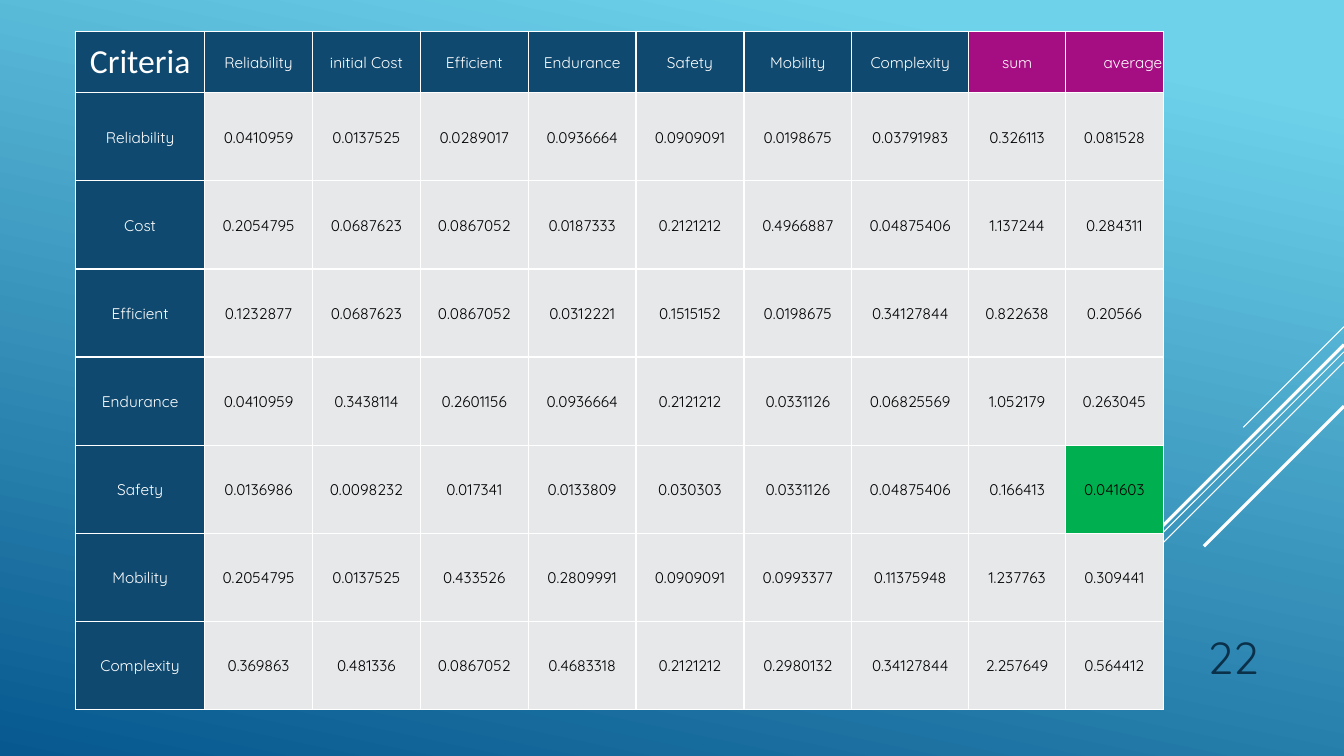
from lxml import etree
from pptx import Presentation
from pptx.dml.color import RGBColor
from pptx.enum.shapes import MSO_CONNECTOR
from pptx.enum.text import MSO_ANCHOR, PP_ALIGN
from pptx.oxml import parse_xml
from pptx.oxml.ns import nsdecls, qn
from pptx.util import Inches, Pt

STRAIGHT = MSO_CONNECTOR.STRAIGHT
MIDDLE, BOTTOM = MSO_ANCHOR.MIDDLE, MSO_ANCHOR.BOTTOM
CENTER, RIGHT = PP_ALIGN.CENTER, PP_ALIGN.RIGHT

HEX = {"white": "FFFFFF", "black": "000000", "navy": "0F496F", "plum": "A50E82",
       "gray": "E7E8EA", "green": "00B050", "ink": "0A304A",
       "sky": "6ED2EB", "deep": "06588E"}
HEAD = ["Criteria", "Reliability", "initial Cost", "Efficient", "Endurance",
        "Safety", "Mobility", "Complexity", "sum", "average"]
DATA = """
Reliability 0.0410959 0.0137525 0.0289017 0.0936664 0.0909091 0.0198675 0.03791983 0.326113 0.081528
Cost 0.2054795 0.0687623 0.0867052 0.0187333 0.2121212 0.4966887 0.04875406 1.137244 0.284311
Efficient 0.1232877 0.0687623 0.0867052 0.0312221 0.1515152 0.0198675 0.34127844 0.822638 0.20566
Endurance 0.0410959 0.3438114 0.2601156 0.0936664 0.2121212 0.0331126 0.06825569 1.052179 0.263045
Safety 0.0136986 0.0098232 0.017341 0.0133809 0.030303 0.0331126 0.04875406 0.166413 0.041603
Mobility 0.2054795 0.0137525 0.433526 0.2809991 0.0909091 0.0993377 0.11375948 1.237763 0.309441
Complexity 0.369863 0.481336 0.0867052 0.4683318 0.2121212 0.2980132 0.34127844 2.257649 0.564412
"""
ROWS = [HEAD] + [line.split() for line in DATA.strip().splitlines()]
WIDTHS = [1.28] + [1.07] * 6 + [1.16, 0.96, 0.97]
TALL = 6.73
FIRST = 0.61
HEIGHTS = [FIRST] + [(TALL - FIRST) / 7] * 7
RAYS = [(3.24, 1, 0.75), (3.49, 3.26, 0.75), (3.59, 2.07, 0.75),
        (3.42, 1.91, 2.25), (4.03, 1.39, 2.25)]
EDGE = 13.33


def tint(name):
    """Return the named colour."""
    return RGBColor.from_string(HEX[name])


class Board:
    """Hold the style and the current slide."""

    def __init__(self, slide, font="Quicksand"):
        """Keep the slide and its main font."""
        self.slide, self.font = slide, font

    def back(self, top, base):
        """Fill the background with a slanted gradient."""
        fill = self.slide.background.fill
        fill.gradient()
        fill.gradient_angle = 258
        for stop, name, place in zip(fill.gradient_stops, (top, base), (0.1, 1)):
            stop.color.rgb = tint(name)
            stop.position = place

    def ray(self, top, span, width):
        """Draw a diagonal line down from the right edge."""
        line = self.slide.shapes.add_connector(
            STRAIGHT, Inches(EDGE), Inches(top), Inches(EDGE - span), Inches(top + span))
        line.line.color.rgb = tint("white")
        line.line.width = Pt(width)
        etree.SubElement(line._element.spPr, qn("a:effectLst"))

    def label(self, frame, text, size, color, align=CENTER, font=None):
        """Add one styled run to the first paragraph."""
        para = frame.paragraphs[0]
        para.alignment = align
        run = para.add_run()
        run.text = text
        run.font.size = Pt(size)
        run.font.name = font or self.font
        run.font.color.rgb = tint(color)
        return para

    def cell(self, cell, fill):
        """Set margins, borders and fill of a cell."""
        cell.margin_left = cell.margin_right = cell.margin_top = Inches(0.01)
        cell.margin_bottom = 0
        cell.vertical_anchor = MIDDLE
        props = cell._tc.get_or_add_tcPr()
        for side in "LRTB":
            props.append(parse_xml(
                f'<a:ln{side} {nsdecls("a")} w="12700"><a:solidFill>'
                f'<a:srgbClr val="{HEX["white"]}"/></a:solidFill></a:ln{side}>'))
        cell.fill.solid()
        cell.fill.fore_color.rgb = tint(fill)

    def grid(self, left, top, rows, widths, heights):
        """Draw the table of criteria."""
        table = self.slide.shapes.add_table(
            len(rows), len(widths), Inches(left), Inches(top),
            Inches(sum(widths)), Inches(sum(heights))).table
        table.first_row = table.horz_banding = False
        for col, width in zip(table.columns, widths):
            col.width = Inches(width)
        for row, height in zip(table.rows, heights):
            row.height = Inches(height)
        for r, row in enumerate(rows):
            for c, text in enumerate(row):
                cell = table.cell(r, c)
                title = r == 0 or c == 0
                fill = "navy" if title else "gray"
                if r == 0 and c >= 8:
                    fill = "plum"
                elif (row[0], HEAD[c]) == ("Safety", "average"):
                    fill = "green"
                self.cell(cell, fill)
                if text == "Criteria":
                    para = self.label(cell.text_frame, text, 24, "white", font="Calibri")
                    para.space_after = Pt(12)
                else:
                    self.label(cell.text_frame, text, 11, "white" if title else "black",
                               RIGHT if text == "average" else CENTER)

    def text(self, left, top, width, height, text, size, color):
        """Add a right-aligned text box."""
        frame = self.slide.shapes.add_textbox(
            Inches(left), Inches(top), Inches(width), Inches(height)).text_frame
        frame.word_wrap = True
        frame.vertical_anchor = BOTTOM
        self.label(frame, text, size, color, RIGHT)


def main():
    """Build the slide and save it."""
    deck = Presentation()
    deck.slide_width, deck.slide_height = Inches(EDGE), Inches(7.5)
    board = Board(deck.slides.add_slide(deck.slide_layouts[6]))
    board.back("sky", "deep")
    for ray in RAYS:
        board.ray(*ray)
    board.grid(0.75, 0.31, ROWS, WIDTHS, HEIGHTS)
    board.text(11.33, 6.1, 1.25, 0.73, "22", 32, "ink")
    deck.save("out.pptx")


if __name__ == "__main__":
    main()
